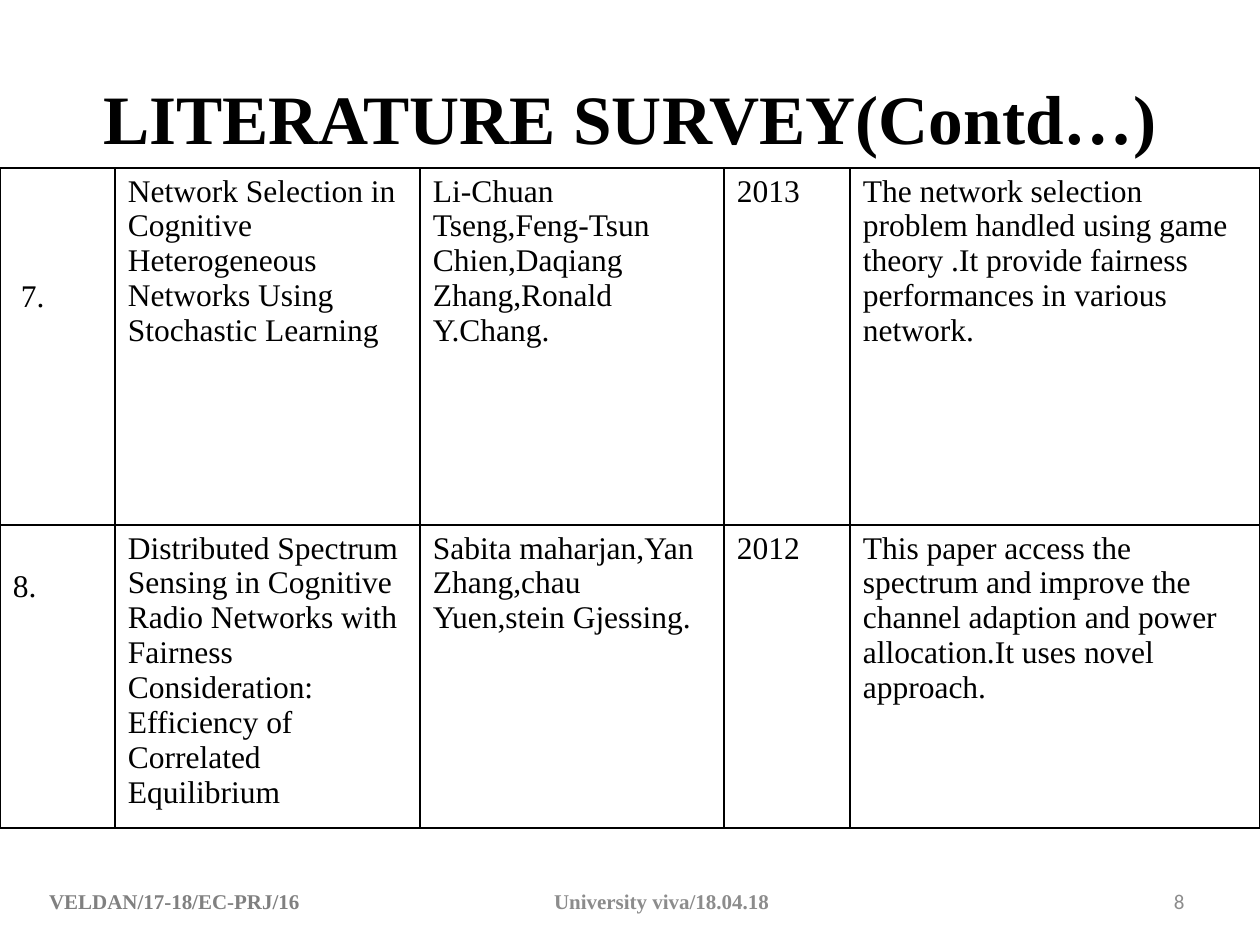
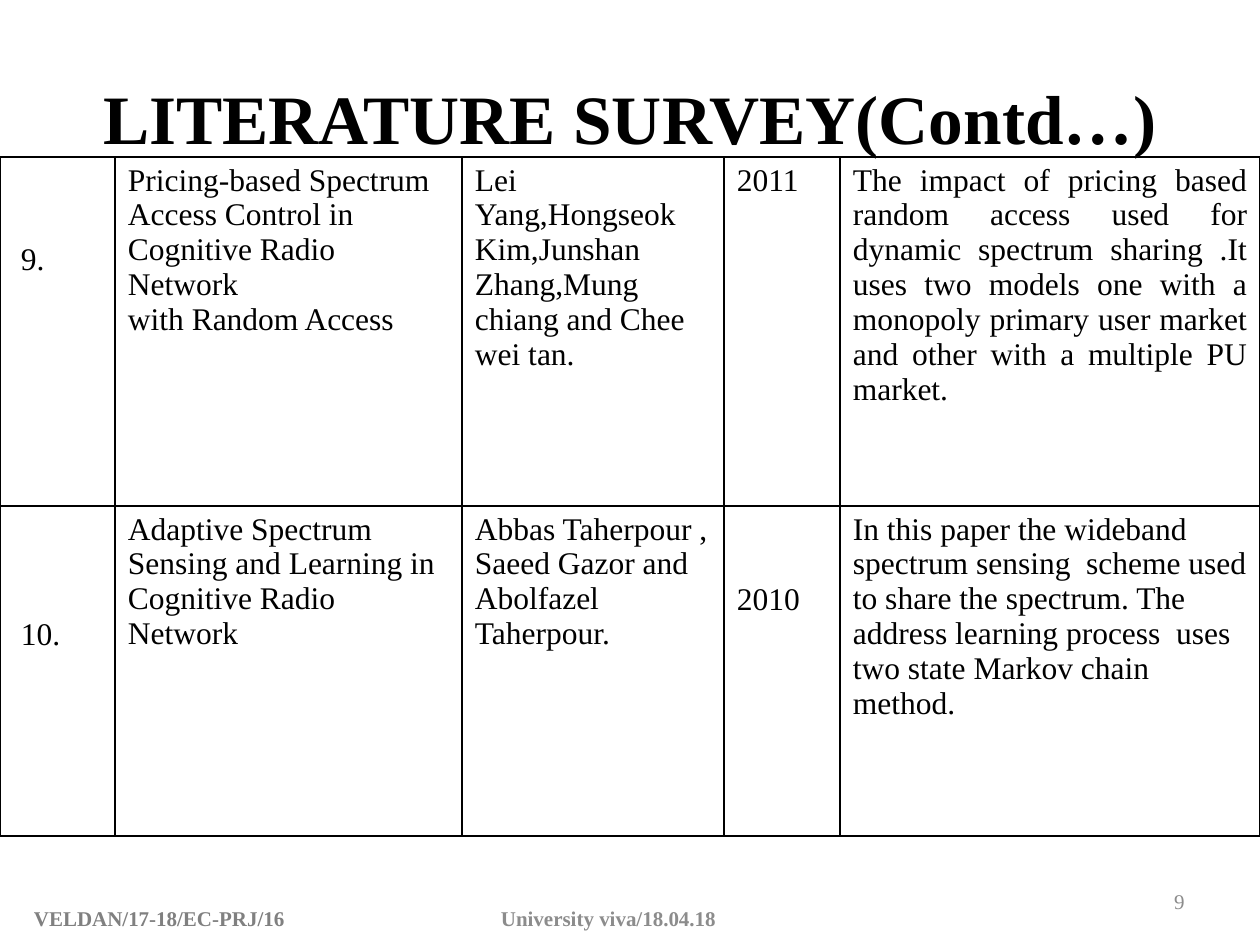
import pptx
import pptx.util
import pptx.dml.color
import pptx.enum.text
import pptx.oxml
import pptx.oxml.ns
import lxml.etree

PP_ALIGN = pptx.enum.text.PP_ALIGN
ANCHOR = pptx.enum.text.MSO_ANCHOR
SERIF, SANS = "Times New Roman", "Calibri"

THEME = {
    "title": {"name": SERIF, "size": 39.6, "bold": True, "color": "000000"},
    "cell": {"name": SERIF, "size": 18, "bold": False, "color": "000000"},
    "project": {"name": SERIF, "size": 12, "bold": True, "color": "808080"},
    "event": {"name": SERIF, "size": 12, "bold": True, "color": "8C8C8C"},
    "number": {"name": SERIF, "size": 12, "bold": False, "color": "8C8C8C"},
    "border": {"color": "000000", "points": 1},
}

TITLE = "LITERATURE SURVEY(Contd…)"
PROJECT = "VELDAN/17-18/EC-PRJ/16"
EVENT = "University viva/18.04.18"

SURVEYS = [
    {
        "papers": [
            ["7.", "Network Selection in Cognitive Heterogeneous Networks Using Stochastic Learning",
             "Li-Chuan Tseng,Feng-Tsun Chien,Daqiang Zhang,Ronald Y.Chang.", "2013",
             "The network selection problem handled using game theory .It provide fairness "
             "performances in various network."],
            ["8.", "Distributed Spectrum Sensing in Cognitive Radio Networks with Fairness "
             "Consideration:\nEfficiency of Correlated Equilibrium",
             "Sabita maharjan,Yan Zhang,chau Yuen,stein Gjessing.", "2012",
             "This paper access the spectrum and improve the channel adaption and power "
             "allocation.It uses novel approach."],
        ],
        "top": 168, "cols": [115, 305, 304, 126, 410], "rows": [357, 303],
        "lowered": {(0, 0): 105, (1, 0): 38}, "indented": [(0, 0)], "justified": [],
        "footer": {"box": (31, 876, 966, 50), "inset": 18, "tab": 505},
        "number": "8", "number_font": SANS,
    },
    {
        "papers": [
            ["9.", "Pricing-based Spectrum Access Control in Cognitive Radio Network\n"
             "with Random Access",
             "Lei Yang,Hongseok Kim,Junshan Zhang,Mung chiang and Chee wei tan.", "2011",
             "The impact of pricing based random access used for dynamic spectrum sharing .It "
             "uses two models one with a monopoly primary user market and other with a multiple "
             "PU market."],
            ["10.", "Adaptive Spectrum Sensing and Learning in Cognitive Radio Network",
             "Abbas Taherpour ,\nSaeed Gazor and Abolfazel Taherpour.", "2010",
             "In this paper the wideband spectrum sensing  scheme used to share the spectrum. "
             "The address learning process  uses two state Markov chain method."],
        ],
        "top": 157, "cols": [115, 347, 262, 116, 420], "rows": [349, 330],
        "lowered": {(0, 0): 79, (1, 0): 105, (1, 3): 70},
        "indented": [(0, 0), (1, 0)], "justified": [(0, 4)],
        "footer": {"box": (21, 893, 998, 50), "inset": 13, "tab": 467},
        "number": "9", "number_font": SERIF,
    },
]

TITLE_BOX = (63, 38, 1134, 157)
NUMBER_BOX = (903, 876, 294, 50)
CELL_TOP, CELL_LEFT, INDENT = 6, 13, 8


def px(n):
    return pptx.util.Emu(round(n * 914400 / 126))


def set_attrs(obj, **values):
    for key, value in values.items():
        setattr(obj, key, value)


def format_font(font, style):
    values = dict(style, size=pptx.util.Pt(style["size"]))
    font.color.rgb = pptx.dml.color.RGBColor.from_string(values.pop("color"))
    set_attrs(font, **values)


def add_run(p, text, style):
    r = p.add_run()
    r.text = text
    format_font(r.font, style)


def add_title(s):
    sp = s.shapes.title
    set_attrs(sp, **dict(zip(("left", "top", "width", "height"), map(px, TITLE_BOX))))
    tf = sp.text_frame
    set_attrs(tf, word_wrap=True, vertical_anchor=ANCHOR.MIDDLE,
              auto_size=pptx.enum.text.MSO_AUTO_SIZE.NONE)
    p = tf.paragraphs[0]
    p.alignment = PP_ALIGN.CENTER
    add_run(p, TITLE, THEME["title"])


def add_borders(cell):
    border = THEME["border"]
    tc_pr = cell._tc.get_or_add_tcPr()
    for side in "LRTB":
        tc_pr.append(pptx.oxml.parse_xml(
            f'<a:ln{side} {pptx.oxml.ns.nsdecls("a")} w="{pptx.util.Pt(border["points"])}">'
            f'<a:solidFill><a:srgbClr val="{border["color"]}"/></a:solidFill></a:ln{side}>'))


def add_survey_table(s, survey):
    cols, rows = survey["cols"], survey["rows"]
    table = s.shapes.add_table(len(rows), len(cols), 0, px(survey["top"]),
                               px(sum(cols)), px(sum(rows))).table
    set_attrs(table, first_row=False, horz_banding=False)
    for col, width in zip(table.columns, cols):
        col.width = px(width)
    for row, height in zip(table.rows, rows):
        row.height = px(height)
    for i, paper in enumerate(survey["papers"]):
        for j, text in enumerate(paper):
            cell, place = table.cell(i, j), (i, j)
            add_borders(cell)
            cell.fill.background()
            cell.margin_top = px(CELL_TOP + survey["lowered"].get(place, 0))
            cell.margin_left = px(CELL_LEFT + INDENT * (place in survey["indented"]))
            for k, line in enumerate(text.split("\n")):
                tf = cell.text_frame
                p = tf.add_paragraph() if k else tf.paragraphs[0]
                p.alignment = PP_ALIGN.JUSTIFY if place in survey["justified"] else PP_ALIGN.LEFT
                add_run(p, line, THEME["cell"])


def add_text_box(s, box, alignment):
    tf = s.shapes.add_textbox(*map(px, box)).text_frame
    set_attrs(tf, word_wrap=True, vertical_anchor=ANCHOR.MIDDLE)
    p = tf.paragraphs[0]
    p.alignment = alignment
    return tf, p


def add_footer(s, survey):
    footer = survey["footer"]
    tf, p = add_text_box(s, footer["box"], PP_ALIGN.LEFT)
    tf.margin_left = px(footer["inset"])
    tabs = lxml.etree.SubElement(p._p.get_or_add_pPr(), pptx.oxml.ns.qn("a:tabLst"))
    lxml.etree.SubElement(tabs, pptx.oxml.ns.qn("a:tab"), pos=str(px(footer["tab"])), algn="l")
    add_run(p, PROJECT, THEME["project"])
    add_run(p, "\t" + EVENT, THEME["event"])
    tf, p = add_text_box(s, NUMBER_BOX, PP_ALIGN.RIGHT)
    add_run(p, survey["number"], dict(THEME["number"], name=survey["number_font"]))


def main():
    prs = pptx.Presentation()
    set_attrs(prs, slide_width=px(1260), slide_height=px(945))
    for survey in SURVEYS:
        s = prs.slides.add_slide(prs.slide_layouts[5])
        add_title(s)
        add_survey_table(s, survey)
        add_footer(s, survey)
    prs.save("out.pptx")


if __name__ == "__main__":
    main()
